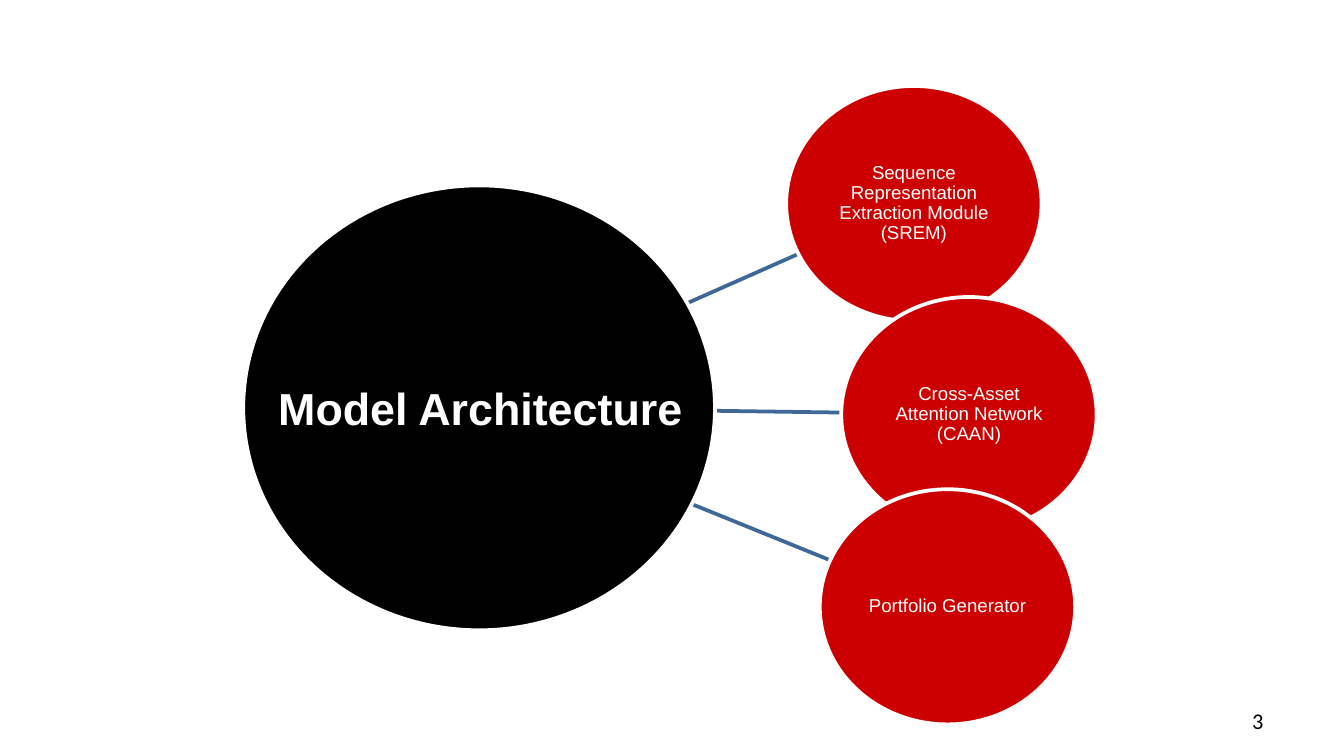
from lxml import etree
from pptx import Presentation
from pptx.dml.color import RGBColor
from pptx.enum.shapes import MSO_CONNECTOR, MSO_SHAPE
from pptx.enum.text import MSO_ANCHOR, MSO_AUTO_SIZE, PP_ALIGN
from pptx.oxml.ns import qn
from pptx.util import Inches, Pt

OVAL = MSO_SHAPE.OVAL
LINE = MSO_CONNECTOR.STRAIGHT
MID = MSO_ANCHOR.MIDDLE
GROW = MSO_AUTO_SIZE.SHAPE_TO_FIT_TEXT
MID_AL, RIGHT, FULL = PP_ALIGN.CENTER, PP_ALIGN.RIGHT, PP_ALIGN.JUSTIFY
BLACK = RGBColor(0, 0, 0)
WHITE = RGBColor(255, 255, 255)
RED = RGBColor(0xCC, 0x00, 0x01)
BLUE = RGBColor(0x3F, 0x67, 0x97)
WIDE = Inches(10)
HIGH = WIDE * 9 // 16
COLS, ROWS = 100, 56.25
HUB = (18.1, 13.8, 35.1, 33.1)
NODE = (19, 17.5)
START = 41.1
PARTS = [
    ("Sequence Representation Extraction Module (SREM)",
     (58.5, 6.4), 27, (59.4, 18.9)),
    ("Cross-Asset Attention Network (CAAN)",
     (62.6, 22.1), 30.4, (62.6, 30.7)),
    ("Portfolio Generator", (61, 36.4), 33.3, (61.8, 41.7)),
]


def place(box, x, y, w=0, h=0):
    left, top, wide, high = box
    col, row = wide / COLS, high / ROWS
    return (int(left + x * col), int(top + y * row),
            int(w * col), int(h * row))


def write(shape, text, size, color, align, font="Arial", bold=False):
    frame = shape.text_frame
    frame.word_wrap = True
    frame.vertical_anchor = MID
    para = frame.paragraphs[0]
    para.alignment = align
    run = para.add_run()
    run.text = text
    run.font.size = Pt(size)
    run.font.name = font
    run.font.bold = bold
    run.font.color.rgb = color
    return frame


def add_oval(slide, spot, fill):
    oval = slide.shapes.add_shape(OVAL, *spot)
    oval.shadow.inherit = False
    oval.fill.solid()
    oval.fill.fore_color.rgb = fill
    oval.line.color.rgb = WHITE
    oval.line.width = Pt(2)
    return oval


def add_link(slide, box, start, end):
    x1, y1 = place(box, *start)[:2]
    x2, y2 = place(box, *end)[:2]
    link = slide.shapes.add_connector(LINE, x1, y1, x2, y2)
    link.line.color.rgb = BLUE
    link.line.width = Pt(2)
    etree.SubElement(link.element.spPr, qn("a:effectLst"))


def add_node(slide, spot, text):
    oval = add_oval(slide, spot, RED)
    frame = write(oval, text, 10, WHITE, MID_AL)
    frame.margin_left = frame.margin_right = Inches(0.01)
    frame.margin_top = frame.margin_bottom = Inches(0.01)
    para = frame.paragraphs[0]
    para.line_spacing = 0.9
    para.space_after = Pt(3.5)


def add_web(slide, box):
    for _, _, level, end in PARTS:
        add_link(slide, box, (START, level), end)
    add_oval(slide, place(box, *HUB), BLACK)
    for text, corner, _, _ in PARTS:
        add_node(slide, place(box, *corner, *NODE), text)


def add_title(slide, box):
    title = slide.shapes.title
    title.left, title.top, title.width, title.height = place(
        box, 19.7, 27.8, 33.9, 5)
    frame = write(title, "Model Architecture", 24, WHITE, FULL, bold=True)
    frame.auto_size = GROW
    title.element.getparent().append(title.element)


def add_page(slide, box):
    page = slide.shapes.add_textbox(*place(box, 71.7, 52.1, 23.3, 3))
    write(page, "3", 12, BLACK, RIGHT, "Calibri")


def main():
    deck = Presentation()
    deck.slide_width, deck.slide_height = WIDE, HIGH
    slide = deck.slides.add_slide(deck.slide_layouts[5])
    box = (0, 0, WIDE, HIGH)
    add_page(slide, box)
    add_web(slide, box)
    add_title(slide, box)
    deck.save("out.pptx")


if __name__ == "__main__":
    main()
